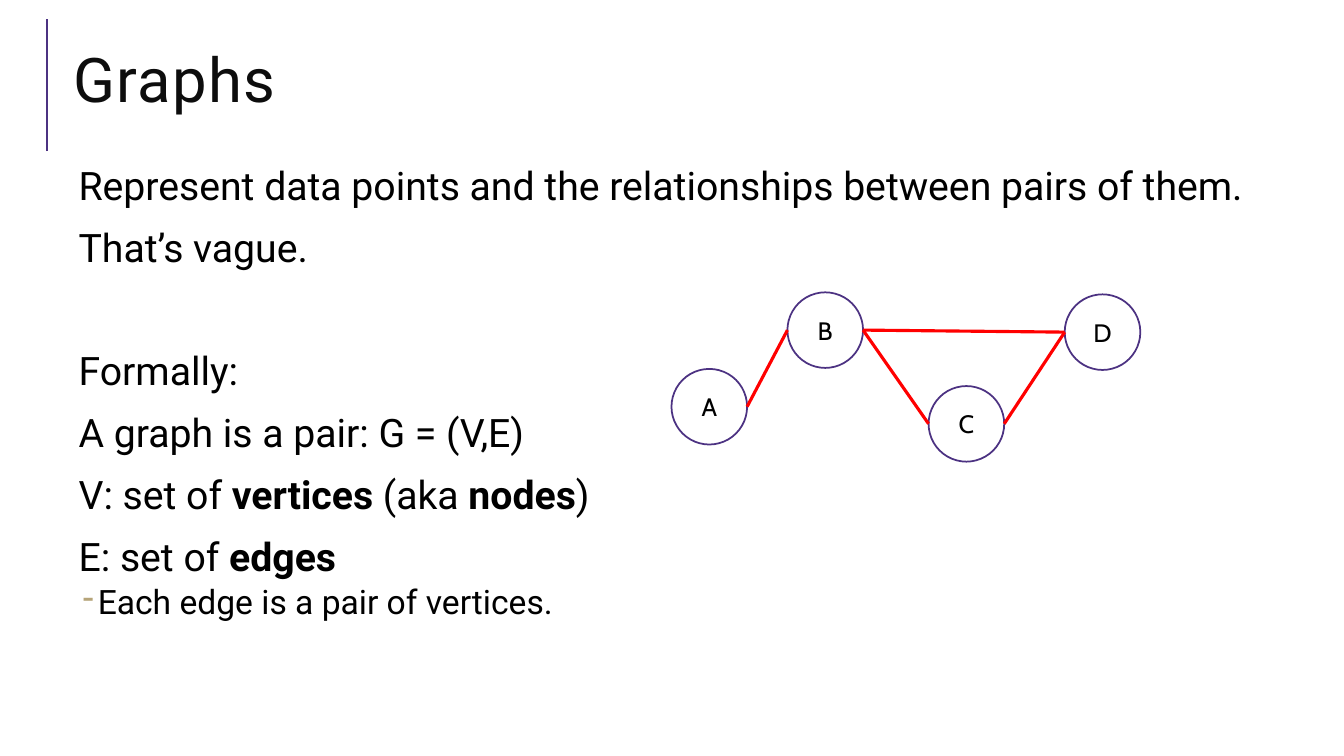
"""Build a slide that introduces graphs as vertices and edges."""
from lxml.etree import SubElement
from pptx import Presentation
from pptx.dml.color import RGBColor
from pptx.enum.shapes import MSO_CONNECTOR, MSO_SHAPE
from pptx.enum.text import MSO_ANCHOR, PP_ALIGN
from pptx.oxml.ns import qn
from pptx.util import Inches, Pt

PURPLE = RGBColor(0x4C, 0x32, 0x82)
RED = RGBColor(0xFF, 0x00, 0x00)
BLACK = RGBColor(0x00, 0x00, 0x00)
NEAR_BLACK = RGBColor(0x0D, 0x0D, 0x0D)
TAN = RGBColor(0xB6, 0xA4, 0x79)


def write(paragraph, text, size=28, font="Roboto", color=BLACK, line_spacing=0.9,
          before=0, after=0, align=PP_ALIGN.LEFT, tracking=0):
    """Fill a paragraph; parts between ** marks are bold."""
    paragraph.alignment = align
    paragraph.line_spacing = line_spacing
    paragraph.space_before = Pt(before)
    paragraph.space_after = Pt(after)
    for index, part in enumerate(text.split("**")):
        if part:
            run = paragraph.add_run()
            run.text = part
            run.font.size = Pt(size)
            run.font.name = font
            run.font.bold = index % 2 == 1
            run.font.color.rgb = color
            if tracking:
                run.font._element.set("spc", str(tracking * 100))


def draw_line(start, end, color, width):
    """Draw a straight line between two points given in inches."""
    line = slide.shapes.add_connector(
        MSO_CONNECTOR.STRAIGHT, *(Inches(value) for value in (*start, *end)))
    line.line.color.rgb = color
    line.line.width = Pt(width)
    SubElement(line._element.spPr, qn("a:effectLst"))


presentation = Presentation()
presentation.slide_width = Inches(13.33)
presentation.slide_height = Inches(7.5)
slide = presentation.slides.add_slide(presentation.slide_layouts[6])

draw_line((0.47, 1.5), (0.47, 0.19), PURPLE, 1.5)

title = slide.shapes.add_textbox(Inches(0.63), Inches(0.29), Inches(12.23), Inches(1.11)).text_frame
title.word_wrap = True
title.vertical_anchor = MSO_ANCHOR.MIDDLE
write(title.paragraphs[0], "Graphs", size=44, color=NEAR_BLACK, line_spacing=0.8, tracking=1)

definition = slide.shapes.add_textbox(Inches(0.63), Inches(1.6), Inches(12.23), Inches(5.3)).text_frame
definition.word_wrap = True
definition.margin_left = definition.margin_right = Inches(0.05)
definition.margin_top = definition.margin_bottom = Inches(0.05)
statements = [
    ("Represent data points and the relationships between pairs of them.", 0),
    ("That’s vague.", 12),
    ("Formally:", 56),
    ("A graph is a pair: G = (V,E)", 12),
    ("V: set of **vertices** (aka **nodes**)", 12),
    ("E: set of **edges**", 12),
]
for index, (statement, before) in enumerate(statements):
    paragraph = definition.add_paragraph() if index else definition.paragraphs[0]
    paragraph._p.get_or_add_pPr().set("marL", str(Inches(0.1)))
    write(paragraph, statement, before=before, after=2)

edge_note = definition.add_paragraph()
edge_note.level = 1
note_format = edge_note._p.get_or_add_pPr()
note_format.set("marL", str(Inches(0.29)))
note_format.set("indent", str(Inches(-0.15)))
bullet_color = SubElement(note_format, qn("a:buClr"))
SubElement(bullet_color, qn("a:srgbClr")).set("val", str(TAN))
SubElement(note_format, qn("a:buChar")).set("char", "-")
write(edge_note, "Each edge is a pair of vertices.", size=24, before=2, after=4)

DIAMETER = 0.75
vertices = {"A": (6.66, 3.66), "B": (7.81, 2.9), "C": (9.21, 3.83), "D": (10.56, 2.92)}
for name, (left, top) in vertices.items():
    vertex = slide.shapes.add_shape(
        MSO_SHAPE.OVAL, Inches(left), Inches(top), Inches(DIAMETER), Inches(DIAMETER))
    vertex.shadow.inherit = False
    vertex.fill.background()
    vertex.line.color.rgb = PURPLE
    vertex.line.width = Pt(1.25)
    label = vertex.text_frame
    label.word_wrap = False
    label.vertical_anchor = MSO_ANCHOR.MIDDLE
    write(label.paragraphs[0], name, size=18, font="Cabin", line_spacing=1.0, align=PP_ALIGN.CENTER)

for source, target in ("BC", "AB", "CD", "BD"):
    source_left, source_top = vertices[source]
    target_left, target_top = vertices[target]
    draw_line((source_left + DIAMETER, source_top + DIAMETER / 2),
              (target_left, target_top + DIAMETER / 2), RED, 2.25)

presentation.save("out.pptx")
